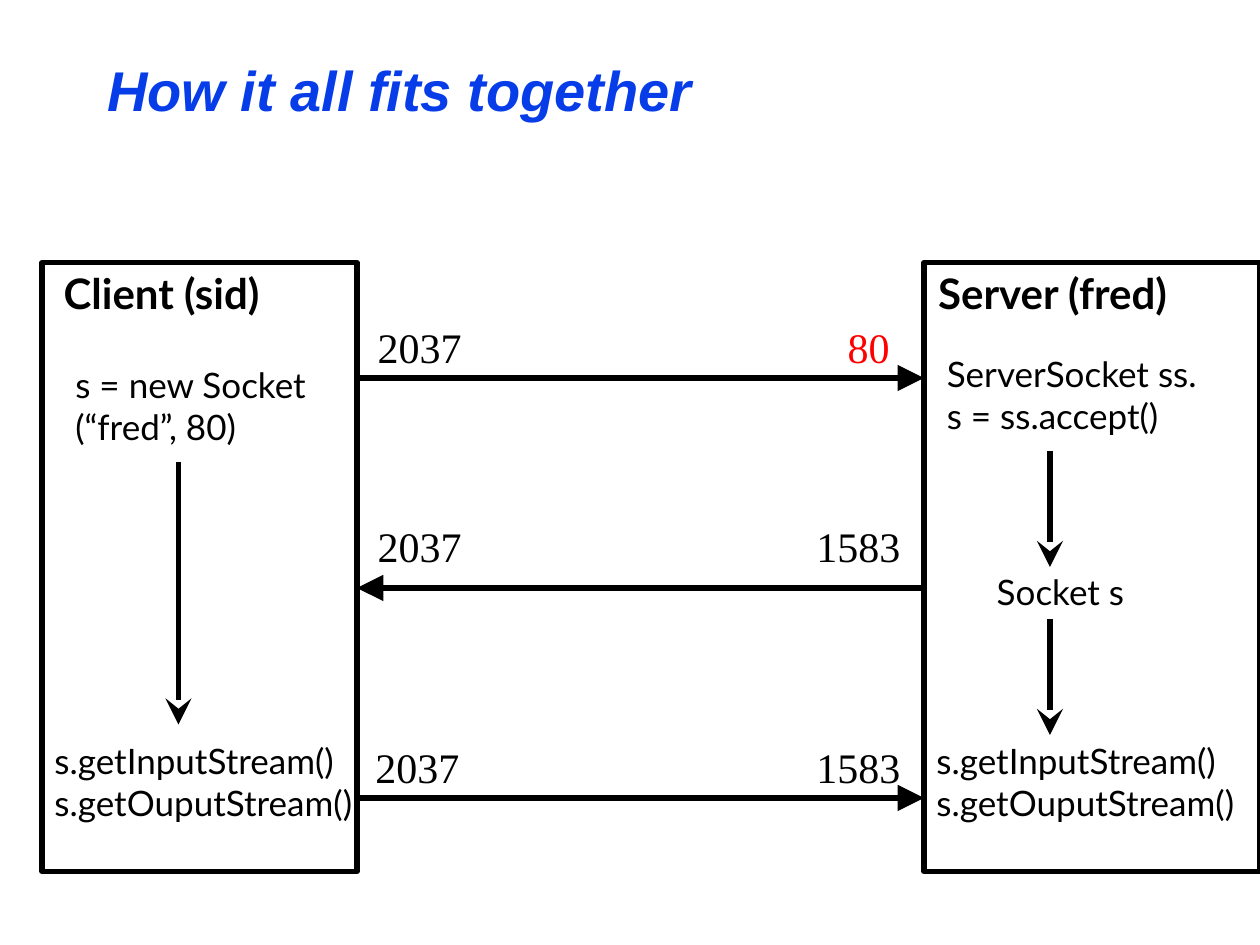
import pptx
import pptx.util
import pptx.dml.color
import pptx.enum.shapes
import pptx.enum.text
import pptx.oxml.ns
import lxml.etree

Pt = pptx.util.Pt
BLACK = pptx.dml.color.RGBColor(0x00, 0x00, 0x00)
RED = pptx.dml.color.RGBColor(0xFF, 0x00, 0x00)
BLUE = pptx.dml.color.RGBColor(0x06, 0x3D, 0xE8)
SERIF, SANS, TITLE_FONT = "Times New Roman", "Lato", "Arial"


class Diagram:
    """Holds the style and the current slide."""
    line_width = Pt(3)

    def __init__(self, slide):
        self.slide = slide

    def format_text(self, frame, font, size, color, bold=False, italic=False):
        for paragraph in frame.paragraphs:
            paragraph.alignment = pptx.enum.text.PP_ALIGN.LEFT
            for run in paragraph.runs:
                run.font.name = font
                run.font.size = Pt(size)
                run.font.color.rgb = color
                run.font.bold = bold
                run.font.italic = italic

    def title(self, text, left, top, width, height):
        heading = self.slide.shapes.title
        heading.left, heading.top = Pt(left), Pt(top)
        heading.width, heading.height = Pt(width), Pt(height)
        heading.text_frame.text = text
        heading.text_frame.vertical_anchor = pptx.enum.text.MSO_ANCHOR.MIDDLE
        self.format_text(heading.text_frame, TITLE_FONT, 32, BLUE, True, True)

    def host(self, left, top, width, height):
        box = self.slide.shapes.add_shape(
            pptx.enum.shapes.MSO_SHAPE.RECTANGLE,
            Pt(left), Pt(top), Pt(width), Pt(height))
        box.shadow.inherit = False
        box.fill.background()
        box.line.color.rgb = BLACK
        box.line.width = self.line_width

    def label(self, text, left, top, width, height, font=SANS, size=20,
              color=BLACK, bold=False):
        frame = self.slide.shapes.add_textbox(
            Pt(left), Pt(top), Pt(width), Pt(height)).text_frame
        frame.text = text
        frame.word_wrap = False
        frame.auto_size = pptx.enum.text.MSO_AUTO_SIZE.SHAPE_TO_FIT_TEXT
        self.format_text(frame, font, size, color, bold)

    def arrow(self, x1, y1, x2, y2, tip):
        connector = self.slide.shapes.add_connector(
            pptx.enum.shapes.MSO_CONNECTOR.STRAIGHT,
            Pt(x1), Pt(y1), Pt(x2), Pt(y2))
        connector.line.color.rgb = BLACK
        connector.line.width = self.line_width
        qn = pptx.oxml.ns.qn
        lxml.etree.SubElement(connector.line._get_or_add_ln(),
                              qn("a:tailEnd"), type=tip, w="lg", len="lg")
        lxml.etree.SubElement(connector._element.spPr, qn("a:effectLst"))


deck = pptx.Presentation()
deck.slide_width, deck.slide_height = Pt(720), Pt(540)
diagram = Diagram(deck.slides.add_slide(deck.slide_layouts[5]))

diagram.title("How it all fits together", 54, 24, 612, 54)

# Client and server hosts
CLIENT_LEFT, CLIENT_RIGHT, SERVER_LEFT = 24, 204, 528
diagram.host(CLIENT_LEFT, 150, CLIENT_RIGHT - CLIENT_LEFT, 348)
diagram.host(SERVER_LEFT, 150, 192, 348)

# Messages: line y, label top, client port left, server port and its place
messages = [
    (216, 180, 208.7, "80", 477.3, 42, RED, True),
    (336, 294, 208.7, "1583", 459.5, 64, BLACK, False),
    (456, 420, 207.5, "1583", 459.5, 64, BLACK, True),
]
for y, top, client_x, port, port_x, port_width, color, to_server in messages:
    ends = (CLIENT_RIGHT, SERVER_LEFT) if to_server else (SERVER_LEFT, CLIENT_RIGHT)
    diagram.arrow(ends[0], y, ends[1], y, "triangle")
    diagram.label("2037", client_x, top, 64, 36, SERIF, 24)
    diagram.label(port, port_x, top, port_width, 36, SERIF, 24, color)

# Host names
diagram.label("Client (sid)", 29.3, 149.3, 148, 36, size=24, bold=True)
diagram.label("Server (fred)", 529, 149.3, 171, 36, size=24, bold=True)

# Code steps
diagram.label("s = new Socket\n(\u201cfred\u201d, 80)", 36, 204, 152, 55.5)
diagram.label("ServerSocket ss.\ns = ss.accept()", 534, 198, 160, 55.5)
diagram.label("Socket s", 562.5, 322.5, 88, 31)
for left in (CLIENT_LEFT, SERVER_LEFT):
    diagram.label("s.getInputStream()\ns.getOuputStream()", left, 419, 190, 55.5)

# Flow inside each host
for x, start, end in ((102, 264, 414), (600, 258, 324), (600, 354, 420)):
    diagram.arrow(x, start, x, end, "stealth")

deck.save("out.pptx")
